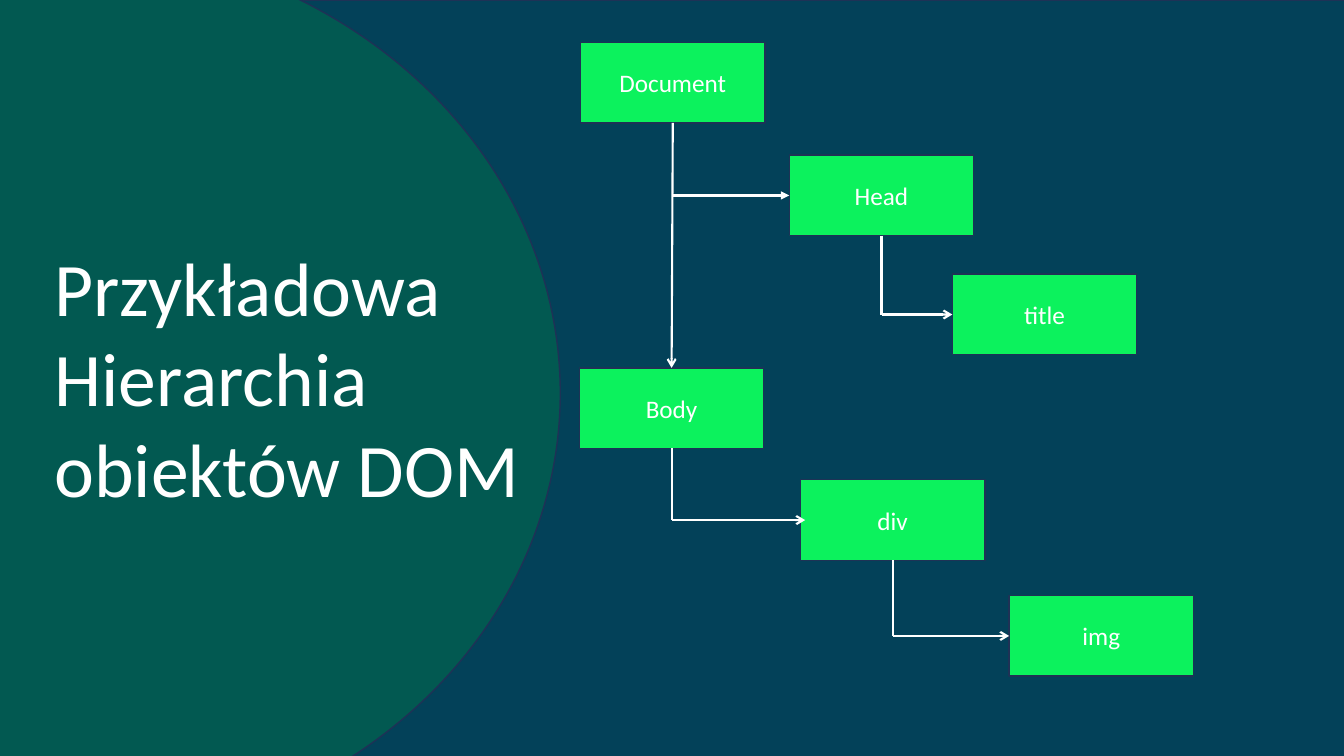
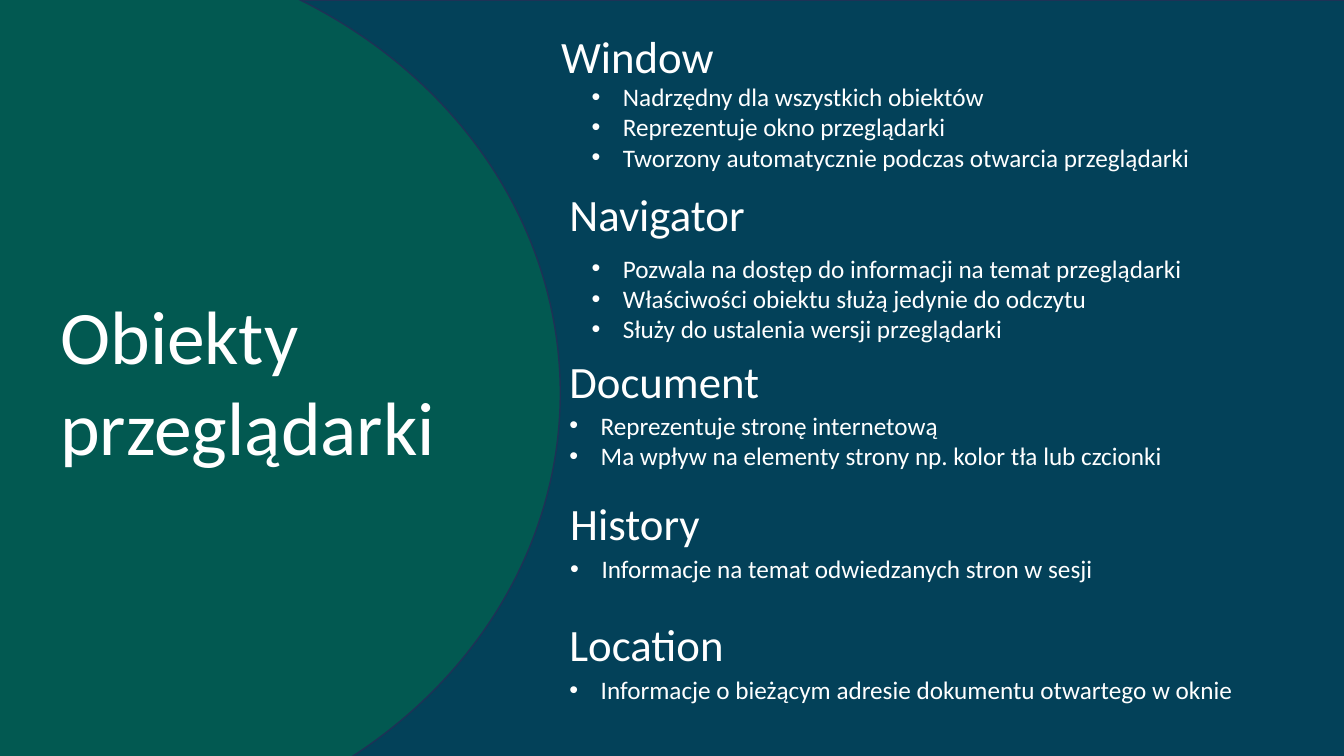
"""Build two slides on the DOM hierarchy and the browser objects."""
from dataclasses import dataclass

from lxml import etree
from pptx import Presentation
from pptx import util as u
from pptx.dml import color
from pptx.enum import shapes, text
from pptx.oxml import ns

COLORS = {"navy": "034159", "teal": "025951", "green": "0CF25D",
          "outline": "1E3256", "white": "FFFFFF"}
FONT = "Calibri"
BOX_WIDTH, BOX_HEIGHT = 4.65, 2.03
HEADING_WIDTH, HEADING_HEIGHT = 6.4, 1.63
LINE_HEIGHT, LIST_PADDING = 0.77, 0.25
BULLET_INDENT = 0.79


@dataclass(frozen=True)
class Node:
    label: str
    left: float
    top: float

    @property
    def center(self) -> float:
        return self.left + BOX_WIDTH / 2

    @property
    def middle(self) -> float:
        return self.top + BOX_HEIGHT / 2

    @property
    def bottom(self) -> float:
        return self.top + BOX_HEIGHT


@dataclass(frozen=True)
class Branch:
    parent: str
    child: str
    overlap: float = 0


@dataclass(frozen=True)
class Topic:
    heading: str
    heading_left: float
    heading_top: float
    list_left: float
    list_top: float
    list_width: float
    items: tuple[str, ...]


NODES = (
    Node("Document", 14.63, 1.07),
    Node("Head", 19.89, 3.91),
    Node("title", 24, 6.91),
    Node("Body", 14.6, 9.27),
    Node("div", 20.17, 12.09),
    Node("img", 25.43, 15.01),
)
BRANCHES = (Branch("Head", "title"), Branch("Body", "div", 0.12), Branch("div", "img"))

TOPICS = (
    Topic("Window", 13.89, 0.61, 14.66, 1.93, 16.89,
          ("Nadrzędny dla wszystkich obiektów", "Reprezentuje okno przeglądarki",
           "Tworzony automatycznie podczas otwarcia przeglądarki")),
    Topic("Navigator", 14.1, 4.57, 14.66, 6.25, 16.54,
          ("Pozwala na dostęp do informacji na temat przeglądarki",
           "Właściwości obiektu służą jedynie do odczytu",
           "Służy do ustalenia wersji przeglądarki")),
    Topic("Document", 14.1, 8.79, 14.1, 10.21, 16.54,
          ("Reprezentuje stronę internetową",
           "Ma wpływ na elementy strony np. kolor tła lub czcionki")),
    Topic("History", 14.12, 12.37, 14.12, 13.82, 16.54,
          ("Informacje na temat odwiedzanych stron w sesji",)),
    Topic("Location", 14.1, 15.42, 14.1, 16.87, 19.15,
          ("Informacje o bieżącym adresie dokumentu otwartego w oknie",)),
)


def rgb(name: str) -> color.RGBColor:
    return color.RGBColor.from_string(COLORS[name])


def write(frame, *lines: str, size: float, align=text.PP_ALIGN.LEFT,
          anchor=text.MSO_ANCHOR.TOP, bullets: bool = False) -> None:
    frame.word_wrap = True
    frame.vertical_anchor = anchor
    for index, line in enumerate(lines):
        paragraph = frame.add_paragraph() if index else frame.paragraphs[0]
        paragraph.alignment = align
        run = paragraph.add_run()
        run.text = line
        run.font.name = FONT
        run.font.size = u.Pt(size)
        run.font.color.rgb = rgb("white")
        if bullets:
            add_bullet(paragraph)


def add_bullet(paragraph) -> None:
    properties = paragraph._p.get_or_add_pPr()
    properties.set("marL", str(u.Cm(BULLET_INDENT)))
    properties.set("indent", str(-u.Cm(BULLET_INDENT)))
    etree.SubElement(properties, ns.qn("a:buFont"), typeface="Arial")
    etree.SubElement(properties, ns.qn("a:buChar"), char="•")


def add_text(parent, left: float, top: float, width: float, height: float,
             *lines: str, **style) -> None:
    box = parent.shapes.add_textbox(u.Cm(left), u.Cm(top), u.Cm(width), u.Cm(height))
    write(box.text_frame, *lines, **style)
    box.text_frame.auto_size = text.MSO_AUTO_SIZE.SHAPE_TO_FIT_TEXT


def add_block(slide, kind, left: float, top: float, width: float, height: float,
              fill: str):
    shape = slide.shapes.add_shape(kind, u.Cm(left), u.Cm(top), u.Cm(width), u.Cm(height))
    shape.shadow.inherit = False
    shape.fill.solid()
    shape.fill.fore_color.rgb = rgb(fill)
    shape.line.color.rgb = rgb("outline")
    shape.line.width = u.Pt(1)
    return shape


def add_line(slide, start: tuple[float, float], end: tuple[float, float],
             arrow: str = "") -> None:
    points = [u.Cm(value) for value in (*start, *end)]
    line = slide.shapes.add_connector(shapes.MSO_CONNECTOR.STRAIGHT, *points)
    line.line.color.rgb = rgb("white")
    line.line.width = u.Pt(1.5)
    if arrow:
        etree.SubElement(line.line._get_or_add_ln(), ns.qn("a:tailEnd"), type=arrow)
    etree.SubElement(line._element.spPr, ns.qn("a:effectLst"))


def add_slide(presentation, title: tuple[str, ...], left: float, top: float,
              height: float):
    slide = presentation.slides.add_slide(presentation.slide_layouts[6])
    add_block(slide, shapes.MSO_SHAPE.RECTANGLE, -0.2, 0, 34.29, 19.48, "navy")
    add_block(slide, shapes.MSO_SHAPE.OVAL, -11.53, -1.45, 25.65, 22.71, "teal")
    add_text(slide, left, top, 13.89, height, *title, size=54)
    return slide


def draw_hierarchy(slide) -> None:
    for node in NODES:
        box = add_block(slide, shapes.MSO_SHAPE.RECTANGLE, node.left, node.top,
                        BOX_WIDTH, BOX_HEIGHT, "green")
        write(box.text_frame, node.label, size=18, align=text.PP_ALIGN.CENTER,
              anchor=text.MSO_ANCHOR.MIDDLE)
    by_label = {node.label: node for node in NODES}
    document, head, body = (by_label[label] for label in ("Document", "Head", "Body"))
    add_line(slide, (document.center, document.bottom), (body.center, body.top), "arrow")
    add_line(slide, (document.center, head.middle), (head.left, head.middle), "triangle")
    for branch in BRANCHES:
        parent, child = by_label[branch.parent], by_label[branch.child]
        corner = (parent.center, child.middle)
        add_line(slide, (parent.center, parent.bottom), corner)
        add_line(slide, corner, (child.left + branch.overlap, child.middle), "arrow")


def draw_topic(slide, topic: Topic) -> None:
    group = slide.shapes.add_group_shape()
    add_text(group, topic.heading_left, topic.heading_top, HEADING_WIDTH,
             HEADING_HEIGHT, topic.heading, size=32)
    add_text(group, topic.list_left, topic.list_top, topic.list_width,
             LIST_PADDING + LINE_HEIGHT * len(topic.items), *topic.items,
             size=18, bullets=True)


def main() -> None:
    presentation = Presentation()
    presentation.slide_width = u.Cm(33.87)
    presentation.slide_height = u.Cm(19.05)
    draw_hierarchy(add_slide(presentation, ("Przykładowa", "Hierarchia obiektów DOM"),
                             1.12, 5.94, 7.19))
    objects_slide = add_slide(presentation, ("Obiekty przeglądarki",), 1.27, 7.16, 4.88)
    for topic in TOPICS:
        draw_topic(objects_slide, topic)
    presentation.save("out.pptx")


main()
